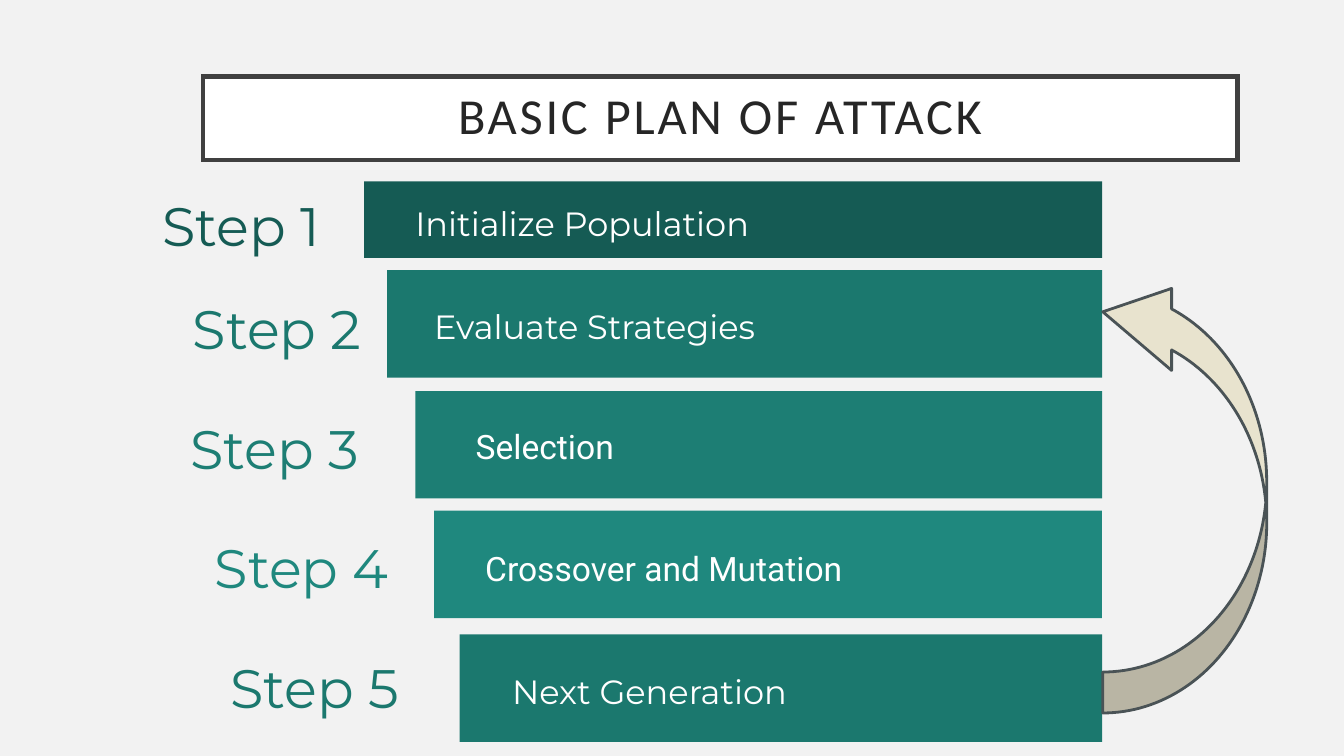
from lxml.etree import SubElement
from pptx import Presentation
from pptx.dml.color import RGBColor
from pptx.enum.shapes import MSO_SHAPE
from pptx.enum.text import MSO_ANCHOR, MSO_AUTO_SIZE, PP_ALIGN
from pptx.oxml.ns import qn
from pptx.util import Inches, Pt

THEME = {
    "back": "F2F2F2", "white": "FFFFFF", "frame": "404040", "ink": "262626",
    "sand": "E8E3CE", "slate": "4A5356",
    "teal": ["155B54", "1B786E", "1D7E74", "1F887E", "1B786E"],
    "title": 27, "label": 29, "text": 18,
    "title_font": "Calibri", "main_font": "Montserrat", "alt_font": "Roboto",
}

prs = Presentation()
prs.slide_width = Inches(10)
prs.slide_height = prs.slide_width * 9 // 16
COL = prs.slide_width / 100
ROW = prs.slide_height / 56.25


def grid(left, top, width, height):
    return [round(v) for v in (left * COL, top * ROW, width * COL, height * ROW)]


def write(sp, text, size, font, color, align, inset=1):
    tf = sp.text_frame
    tf.word_wrap = True
    tf.auto_size = MSO_AUTO_SIZE.NONE
    tf.vertical_anchor = MSO_ANCHOR.MIDDLE
    tf.margin_left = round(inset * COL)
    tf.margin_right = round(COL)
    tf.margin_top = tf.margin_bottom = 0
    p = tf.paragraphs[0]
    p.alignment = align
    r = p.add_run()
    r.text = text
    r.font.size = Pt(size)
    r.font.name = font
    r.font.color.rgb = RGBColor.from_string(color)
    return r


s = prs.slides.add_slide(prs.slide_layouts[5])
s.background.fill.solid()
s.background.fill.fore_color.rgb = RGBColor.from_string(THEME["back"])

title = s.shapes.title
title.left, title.top, title.width, title.height = grid(15.1, 5.7, 77, 6.2)
title.fill.solid()
title.fill.fore_color.rgb = RGBColor.from_string(THEME["white"])
title.line.color.rgb = RGBColor.from_string(THEME["frame"])
title.line.width = Pt(2.5)
ln = title._element.spPr.find(qn("a:ln"))
SubElement(ln, qn("a:miter")).set("lim", "800000")
r = write(title, "BASIC PLAN OF ATTACK", THEME["title"], THEME["title_font"],
          THEME["ink"], PP_ALIGN.CENTER)
r.font._element.set("spc", "150")
title.text_frame.paragraphs[0].line_spacing = 0.9

BAR_RIGHT = 82
LABEL_W, LABEL_H = 24, 6.9
TEXT_W, TEXT_H = 46, 3.6
main, alt = THEME["main_font"], THEME["alt_font"]
steps = [
    ("Initialize Population", main, 27.1, 13.5, 5.7, 24.8, 16.7, 28.2, 16.6),
    ("Evaluate Strategies", main, 28.8, 20.1, 8, 27.9, 24.4, 29.6, 24.3),
    ("Selection", alt, 30.9, 29.1, 8, 27.7, 33.3, 32.7, 33.2),
    ("Crossover and Mutation", alt, 32.3, 38, 8, 29.9, 42.2, 33.4, 42.3),
    ("Next Generation", main, 34.2, 47.2, 8, 30.7, 51.1, 35.4, 51.4),
]
for i, (text, font, left, top, height, label_right, label_mid, text_left, text_mid) in enumerate(steps):
    color = THEME["teal"][i]
    bar = s.shapes.add_shape(MSO_SHAPE.RECTANGLE, *grid(left, top, BAR_RIGHT - left, height))
    bar.shadow.inherit = False
    bar.fill.solid()
    bar.fill.fore_color.rgb = RGBColor.from_string(color)
    bar.line.fill.background()

    label = s.shapes.add_textbox(
        *grid(label_right - LABEL_W, label_mid - LABEL_H / 2, LABEL_W, LABEL_H))
    write(label, f"Step {i + 1}", THEME["label"], main, color, PP_ALIGN.RIGHT)

    box = s.shapes.add_textbox(*grid(text_left, text_mid - TEXT_H / 2, TEXT_W, TEXT_H))
    write(box, text, THEME["text"], font, THEME["white"], PP_ALIGN.LEFT, 2.7)

arrow = s.shapes.add_shape(MSO_SHAPE.CURVED_UP_ARROW, *grid(71.7, 30.5, 32.9, 12.2))
arrow.rotation = 270
for i, value in enumerate((0.25, 0.5, 0.42)):
    arrow.adjustments[i] = value
arrow.shadow.inherit = False
arrow.fill.solid()
arrow.fill.fore_color.rgb = RGBColor.from_string(THEME["sand"])
arrow.line.color.rgb = RGBColor.from_string(THEME["slate"])
arrow.line.width = Pt(1.5)

prs.save("out.pptx")
